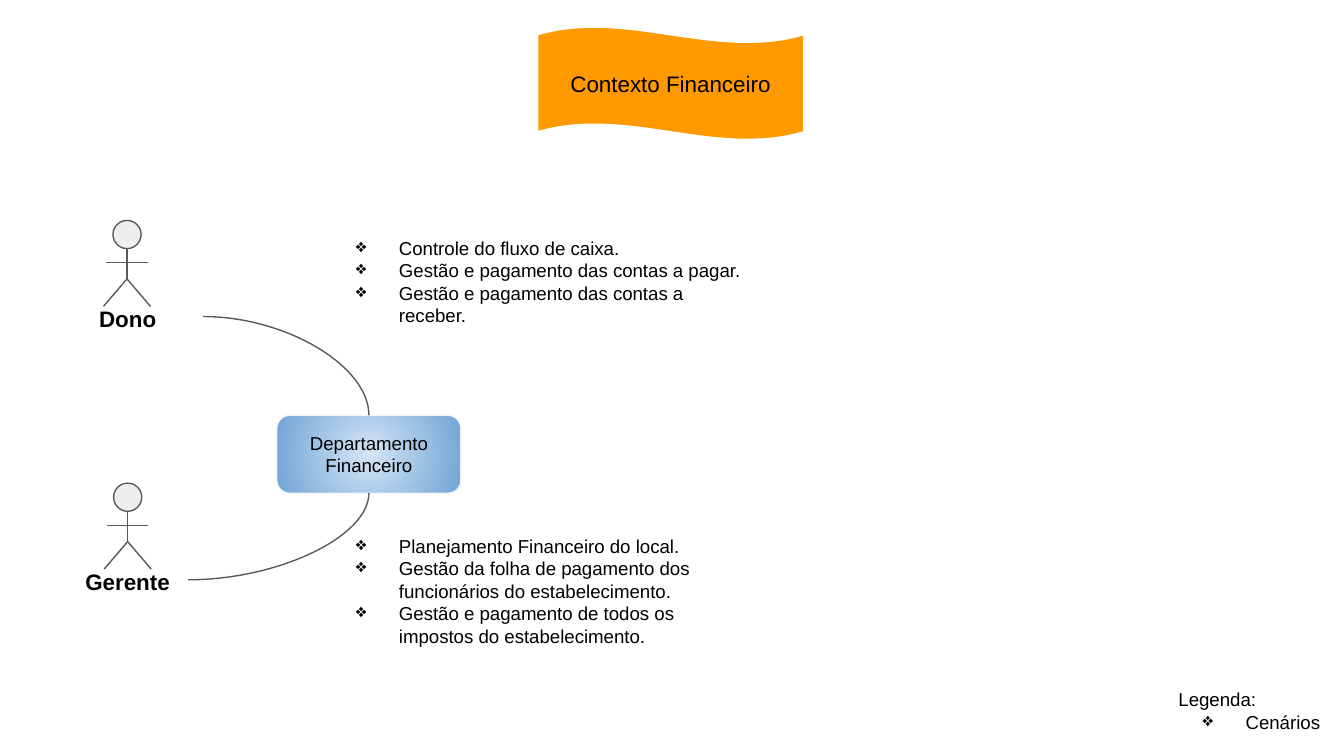
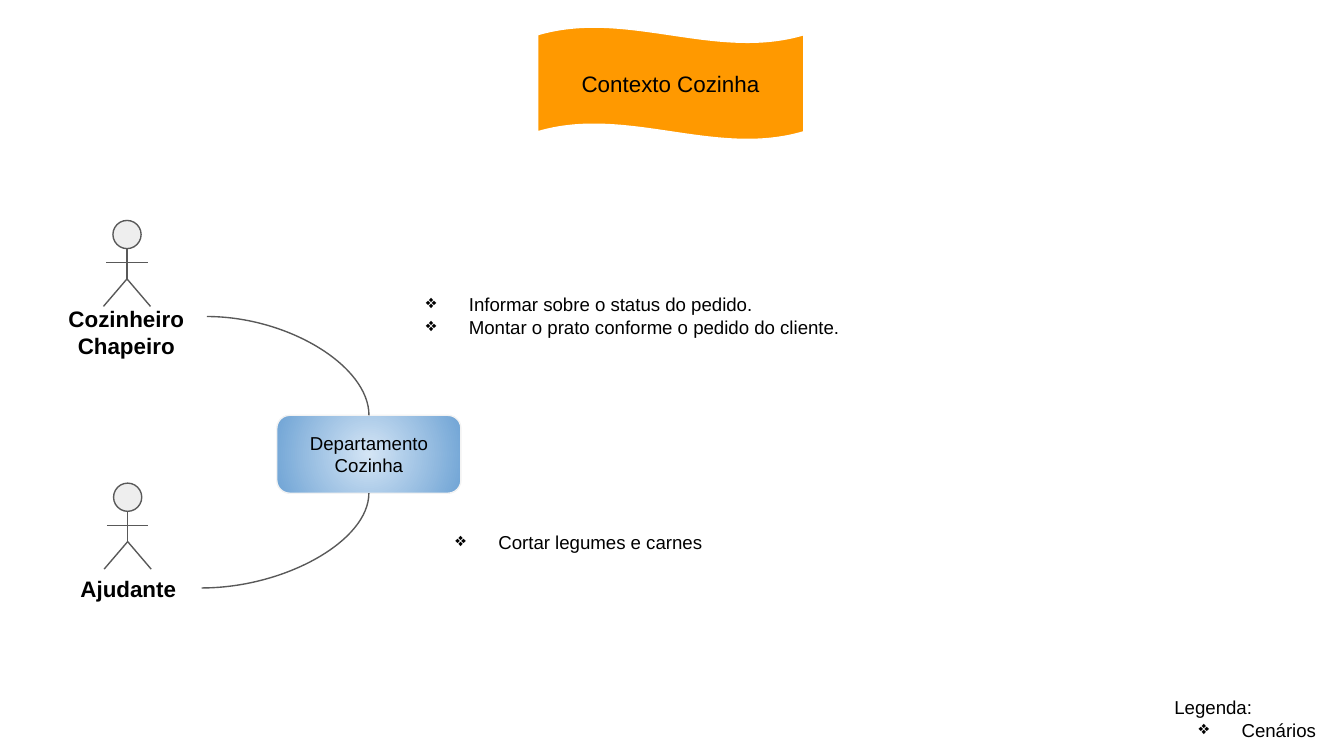
from lxml.etree import SubElement
from pptx import Presentation
from pptx.dml.color import RGBColor
from pptx.enum.shapes import MSO_CONNECTOR as Link, MSO_SHAPE as Shape
from pptx.enum.text import MSO_ANCHOR as Anchor, MSO_AUTO_SIZE as Fit, PP_ALIGN as Align
from pptx.oxml.ns import qn
from pptx.util import Inches, Pt

WIDE = Inches(10)
HIGH = WIDE * 9 // 16
UNIT = WIDE // 100

BLACK = RGBColor(0x00, 0x00, 0x00)
WHITE = RGBColor(0xFF, 0xFF, 0xFF)
ORANGE = RGBColor(0xFF, 0x99, 0x00)
PALE = RGBColor(0xD4, 0xE5, 0xF5)
BLUE = RGBColor(0x70, 0xA4, 0xD5)
SILVER = RGBColor(0xF3, 0xF3, 0xF3)
LIGHT = RGBColor(0xEE, 0xEE, 0xEE)
GRAY = RGBColor(0x59, 0x59, 0x59)

FONT = "Arial"
BANNER = (40, 2, 19.8, 8.4)
DEPT = (20.6, 30.9, 13.7, 5.8)
UPPER = (7.7, 16.4, 3.5, 6.4)
LOWER = (7.75, 35.95, 3.5, 6.4)

SLIDES = [
    {
        "title": "Contexto Financeiro",
        "dept": "Departamento Financeiro",
        "roles": [
            (UPPER, "Dono", (3.9, 21.7, 11.2, 3.7), 0),
            (LOWER, "Gerente", (5, 41.3, 9, 3.7), 2),
        ],
        "lists": [
            ((23.7, 16.6, 33.2, 12.2), [
                "Controle do fluxo de caixa.",
                "Gestão e pagamento das contas a pagar.",
                "Gestão e pagamento das contas a receber.",
            ]),
            ((23.7, 38.8, 33.2, 9.1), [
                "Planejamento Financeiro do local.",
                "Gestão da folha de pagamento dos funcionários do estabelecimento.",
                "Gestão e pagamento de todos os impostos do estabelecimento.",
            ]),
        ],
        "legend": (86.7, 50.2, 12.7, 5.2),
    },
    {
        "title": "Contexto Cozinha",
        "dept": "Departamento Cozinha",
        "roles": [
            (UPPER, "Cozinheiro Chapeiro", (3.4, 21.7, 12, 3.7), 0),
            (LOWER, "Ajudante", (4.1, 41.8, 10.9, 3.9), 2),
        ],
        "lists": [
            ((28.9, 20.8, 38.1, 9.1), [
                "Informar sobre o status do pedido.",
                "Montar o prato conforme o pedido do cliente.",
            ]),
            ((31.1, 38.5, 38.5, 12.2), ["Cortar legumes e carnes"]),
        ],
        "legend": (86.4, 50.8, 13, 5.2),
    },
]


def grid(*cells):
    return [round(cell * UNIT) for cell in cells]


def pen(line, color):
    line.color.rgb = color
    line.width = Pt(0.75)


def write(shape, lines, size, bold=False, align=Align.LEFT, anchor=Anchor.TOP):
    frame = shape.text_frame
    frame.text = "\n".join(lines)
    frame.word_wrap = True
    frame.auto_size = Fit.NONE
    frame.vertical_anchor = anchor
    frame.margin_left = frame.margin_right = UNIT
    frame.margin_top = frame.margin_bottom = UNIT
    for para in frame.paragraphs:
        para.alignment = align
        for run in para.runs:
            run.font.name = FONT
            run.font.size = Pt(size)
            run.font.bold = bold
            run.font.color.rgb = BLACK
    return frame.paragraphs


def bullet(para):
    props = para._p.get_or_add_pPr()
    props.set("marL", str(Inches(0.5)))
    props.set("indent", str(Inches(-0.32)))
    tint = SubElement(props, qn("a:buClr"))
    SubElement(tint, qn("a:srgbClr"), val=str(BLACK))
    SubElement(props, qn("a:buChar"), char="❖")


def block(shapes, kind, box, edge):
    shape = shapes.add_shape(kind, *grid(*box))
    shape.shadow.inherit = False
    pen(shape.line, edge)
    return shape


def stroke(shapes, kind, ends):
    line = shapes.add_connector(kind, *grid(*ends))
    pen(line.line, GRAY)
    SubElement(line._element.spPr, qn("a:effectLst"))
    return line


def banner(slide, box, text):
    wave = block(slide.shapes, Shape.WAVE, box, WHITE)
    wave.adjustments[0] = 0.07
    wave.fill.solid()
    wave.fill.fore_color.rgb = ORANGE
    title = slide.shapes.title
    title.left, title.top, title.width, title.height = grid(*box)
    write(title, [text], 12, align=Align.CENTER, anchor=Anchor.MIDDLE)
    slide.shapes._spTree.append(title._element)


def office(slide, box, text):
    shape = block(slide.shapes, Shape.ROUNDED_RECTANGLE, box, SILVER)
    fill = shape.fill
    fill.gradient()
    for stop, color in zip(fill.gradient_stops, (PALE, BLUE)):
        stop.color.rgb = color
    grad = shape._element.spPr.find(qn("a:gradFill"))
    grad.remove(grad.find(qn("a:lin")))
    ring = SubElement(grad, qn("a:path"), path="circle")
    SubElement(ring, qn("a:fillToRect"), l="50000", t="50000", r="50000", b="50000")
    write(shape, [text], 10, align=Align.CENTER, anchor=Anchor.MIDDLE)
    return shape


def person(slide, box, name, label):
    left, top, wide, high = box
    mid, right, foot = left + wide / 2, left + wide, top + high
    chin, arm, hip = top + high / 3, top + high * 0.49, top + high * 0.68
    group = slide.shapes.add_group_shape().shapes
    head = block(group, Shape.FLOWCHART_CONNECTOR,
                 (mid - wide * 0.3, top, wide * 0.6, wide * 0.6), GRAY)
    head.fill.solid()
    head.fill.fore_color.rgb = LIGHT
    for ends in (
        (mid, chin, mid, hip),
        (left + 0.2, arm, right - 0.2, arm),
        (mid, hip, left, foot),
        (mid, hip, right, foot),
    ):
        stroke(group, Link.STRAIGHT, ends)
    tag = group.add_textbox(*grid(*label))
    write(tag, [name], 12, bold=True, align=Align.CENTER)
    return tag


def curve(slide, tag, dept, side):
    line = stroke(slide.shapes, Link.CURVE, (0, 0, 1, 1))
    line.begin_connect(tag, 3)
    line.end_connect(dept, side)
    line._element.spPr.find(qn("a:prstGeom")).set("prst", "curvedConnector2")


def listing(slide, box, items, head=None):
    lines = [head, *items] if head else items
    paras = write(slide.shapes.add_textbox(*grid(*box)), lines, 10)
    for para in paras[-len(items):]:
        bullet(para)


def build(deck, data):
    slide = deck.slides.add_slide(deck.slide_layouts[5])
    banner(slide, BANNER, data["title"])
    dept = office(slide, DEPT, data["dept"])
    for box, name, label, side in data["roles"]:
        curve(slide, person(slide, box, name, label), dept, side)
    for box, items in data["lists"]:
        listing(slide, box, items)
    listing(slide, data["legend"], ["Cenários"], "Legenda:")


def main():
    deck = Presentation()
    deck.slide_width, deck.slide_height = WIDE, HIGH
    for data in SLIDES:
        build(deck, data)
    deck.save("out.pptx")


if __name__ == "__main__":
    main()
